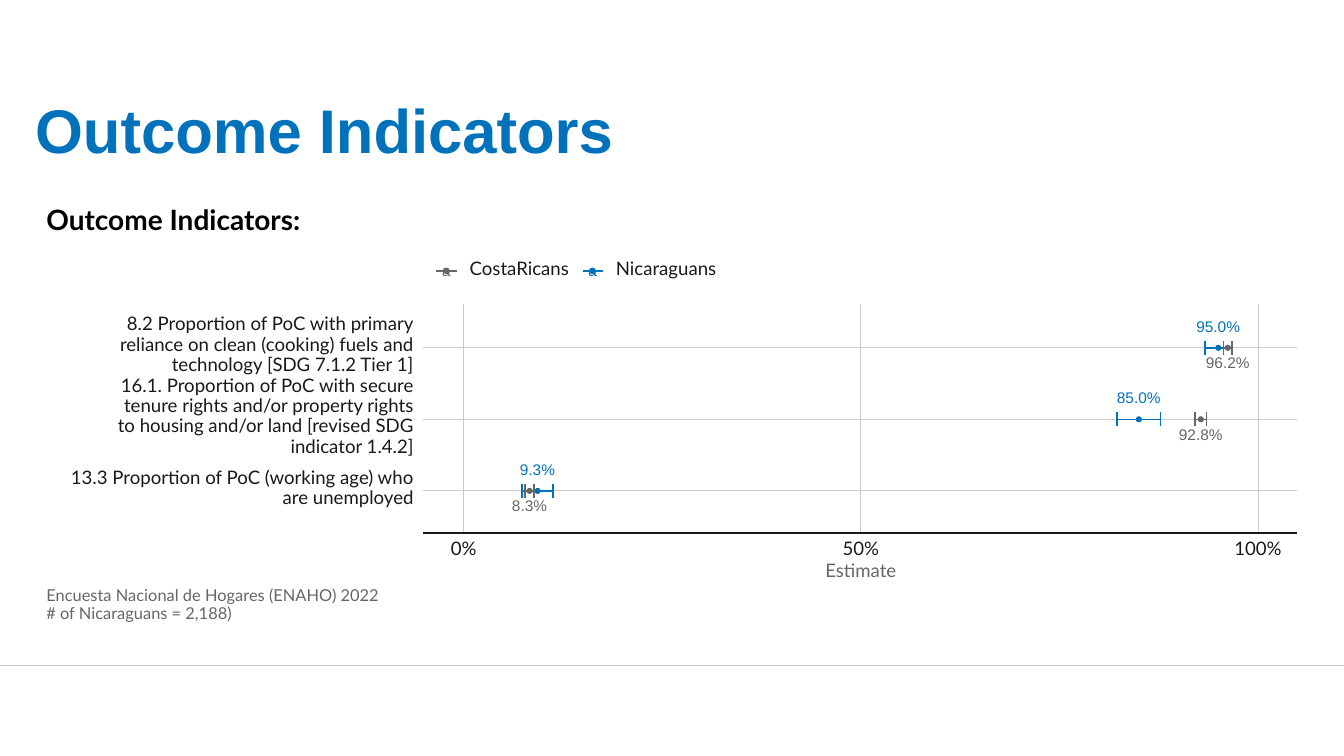
from dataclasses import dataclass

from lxml.etree import SubElement
from pptx import Presentation
from pptx.dml.color import RGBColor
from pptx.enum.shapes import MSO_CONNECTOR, MSO_SHAPE
from pptx.enum.text import MSO_ANCHOR, PP_ALIGN
from pptx.oxml.ns import qn
from pptx.util import Inches, Length, Pt

BLUE = RGBColor(0x00, 0x72, 0xBC)
GRAY = RGBColor(0x66, 0x66, 0x66)
INK = RGBColor(0x19, 0x19, 0x19)
GRID = RGBColor(0xCC, 0xCC, 0xCC)
BLACK = RGBColor(0, 0, 0)
WHITE = RGBColor(255, 255, 255)

# Grid: every position is counted in square cells of a tenth of an inch
SLIDE_COLUMNS, SLIDE_ROWS = 133.33, 75
PANEL_LEFT, PANEL_RIGHT = 42, 128.7
PANEL_TOP, PANEL_BOTTOM = 30.2, 52.9
ZERO_COLUMN, AXIS_SPAN = 46, 78.8
FIRST_ROW, ROW_STEP = 34.5, 7.1
MARGIN_LEFT, LABEL_RIGHT = 4.6, 41.05
CAP_HEIGHT, DOT_SIZE = 1.4, 0.5
LEGEND_ROW, LEGEND_LEFT, LEGEND_STEP = 26.9, 43.3, 14.5


@dataclass(frozen=True)
class Estimate:
    percent: float
    margin: float


@dataclass(frozen=True)
class Series:
    name: str
    color: RGBColor
    label_offset: float
    estimates: tuple[Estimate, ...]


INDICATORS = (
    "8.2 Proportion of PoC with primary\vreliance on clean (cooking) fuels and\v"
    "technology [SDG 7.1.2 Tier 1]",
    "16.1. Proportion of PoC with secure\vtenure rights and/or property rights\v"
    "to housing and/or land [revised SDG\vindicator 1.4.2]",
    "13.3 Proportion of PoC (working age) who\vare unemployed",
)
COSTA_RICANS = Series("CostaRicans", GRAY, 1.6, (
    Estimate(96.2, 0.55), Estimate(92.8, 0.7), Estimate(8.3, 0.57)))
NICARAGUANS = Series("Nicaraguans", BLUE, -2, (
    Estimate(95.0, 1.65), Estimate(85.0, 2.73), Estimate(9.3, 1.97)))


def cells(count: float) -> Length:
    return Inches(count / 10)


def percent_column(percent: float) -> float:
    return ZERO_COLUMN + AXIS_SPAN * percent / 100


def indicator_row(index: int) -> float:
    return FIRST_ROW + ROW_STEP * index


def add_line(shapes, x1: float, y1: float, x2: float, y2: float,
             color: RGBColor, width: float = 1.07) -> None:
    line = shapes.add_connector(MSO_CONNECTOR.STRAIGHT,
                                cells(x1), cells(y1), cells(x2), cells(y2))
    line.line.color.rgb = color
    line.line.width = Pt(width)
    SubElement(line._element.spPr, qn("a:effectLst"))


def add_solid(shapes, kind: MSO_SHAPE, left: float, top: float, width: float,
              height: float, color: RGBColor) -> None:
    shape = shapes.add_shape(kind, cells(left), cells(top), cells(width), cells(height))
    shape.shadow.inherit = False
    shape.fill.solid()
    shape.fill.fore_color.rgb = color
    shape.line.color.rgb = color
    shape.line.width = Pt(0.71)


def add_dot(shapes, column: float, row: float, color: RGBColor) -> None:
    add_solid(shapes, MSO_SHAPE.OVAL, column - DOT_SIZE / 2, row - DOT_SIZE / 2,
              DOT_SIZE, DOT_SIZE, color)


def add_text(shapes, text: str, left: float, middle: float, width: float, *,
             height: float = 2, size: float = 13.3, color: RGBColor = INK,
             font: str = "Lato", bold: bool = False, align=PP_ALIGN.LEFT,
             anchor=MSO_ANCHOR.MIDDLE, spacing=None, inset: float = 0) -> None:
    box = shapes.add_textbox(cells(left), cells(middle - height / 2),
                             cells(width), cells(height))
    frame = box.text_frame
    frame.word_wrap = True
    frame.vertical_anchor = anchor
    frame.margin_left = frame.margin_right = cells(inset)
    frame.margin_top = frame.margin_bottom = cells(inset / 2)
    paragraph = frame.paragraphs[0]
    paragraph.text = text
    paragraph.alignment = align
    paragraph.line_spacing = spacing or Pt(size)
    for run in paragraph.runs:
        run.font.size = Pt(size)
        run.font.name = font
        run.font.bold = bold
        run.font.color.rgb = color


def add_centered(shapes, text: str, column: float, middle: float, **text_format) -> None:
    width = 10
    add_text(shapes, text, column - width / 2, middle, width,
             align=PP_ALIGN.CENTER, **text_format)


def add_panel(shapes) -> None:
    for index, indicator in enumerate(INDICATORS):
        row = indicator_row(index)
        add_line(shapes, PANEL_LEFT, row, PANEL_RIGHT, row, GRID, 0.53)
        add_text(shapes, indicator, MARGIN_LEFT, row - 0.3, LABEL_RIGHT - MARGIN_LEFT,
                 height=2 * (indicator.count("\v") + 1),
                 align=PP_ALIGN.RIGHT, spacing=Pt(14.5))
    for percent in (0, 50, 100):
        column = percent_column(percent)
        add_line(shapes, column, PANEL_BOTTOM, column, PANEL_TOP, GRID, 0.53)
        add_centered(shapes, f"{percent}%", column, 54.6)
    add_line(shapes, PANEL_LEFT, PANEL_BOTTOM, PANEL_RIGHT, PANEL_BOTTOM, INK)
    add_centered(shapes, "Estimate", percent_column(50), 56.7, color=GRAY)


def add_series(shapes, series: Series) -> None:
    for index, estimate in enumerate(series.estimates):
        row = indicator_row(index)
        column = percent_column(estimate.percent)
        low = percent_column(estimate.percent - estimate.margin)
        high = percent_column(estimate.percent + estimate.margin)
        add_dot(shapes, column, row, series.color)
        add_line(shapes, low, row, high, row, series.color)
        for end in (low, high):
            add_line(shapes, end, row + CAP_HEIGHT / 2, end, row - CAP_HEIGHT / 2,
                     series.color)
        add_centered(shapes, f"{estimate.percent:.1f}%", column,
                     row + series.label_offset, size=11, font="Arial", color=series.color)


def add_legend_entry(shapes, series: Series, left: float) -> None:
    add_dot(shapes, left + 1, LEGEND_ROW, series.color)
    add_line(shapes, left, LEGEND_ROW, left + 2, LEGEND_ROW, series.color)
    add_centered(shapes, "a", left + 1, LEGEND_ROW + 0.1,
                 size=11, font="Arial", color=series.color)
    add_text(shapes, series.name, left + 3.3, LEGEND_ROW - 0.1, 11)


presentation = Presentation()
presentation.slide_width = cells(SLIDE_COLUMNS)
presentation.slide_height = cells(SLIDE_ROWS)
slide = presentation.slides.add_slide(presentation.slide_layouts[6])

# Footer rule and title
add_line(slide.shapes, 0, 66, SLIDE_COLUMNS, 66, GRID, 0.75)
add_text(slide.shapes, "Outcome Indicators", 2.5, 9.75, 128.3, height=14.5, size=44,
         color=BLUE, font="Arial", bold=True, anchor=MSO_ANCHOR.BOTTOM,
         spacing=0.9, inset=1)

# Interval plot
plot = slide.shapes.add_group_shape().shapes
add_solid(plot, MSO_SHAPE.RECTANGLE, 2.5, 19, 128.3, 45, WHITE)
add_panel(plot)
for series in (NICARAGUANS, COSTA_RICANS):
    add_series(plot, series)
for position, series in enumerate((COSTA_RICANS, NICARAGUANS)):
    add_legend_entry(plot, series, LEGEND_LEFT + LEGEND_STEP * position)

# Plot heading and source note
add_text(plot, "Outcome Indicators:", MARGIN_LEFT, 22, 40, size=20, color=BLACK, bold=True)
add_text(plot, "Encuesta Nacional de Hogares (ENAHO) 2022\v# of Nicaraguans = 2,188)",
         MARGIN_LEFT, 60, 40, height=3.6, size=11.7, color=GRAY, spacing=Pt(13))

presentation.save("out.pptx")
